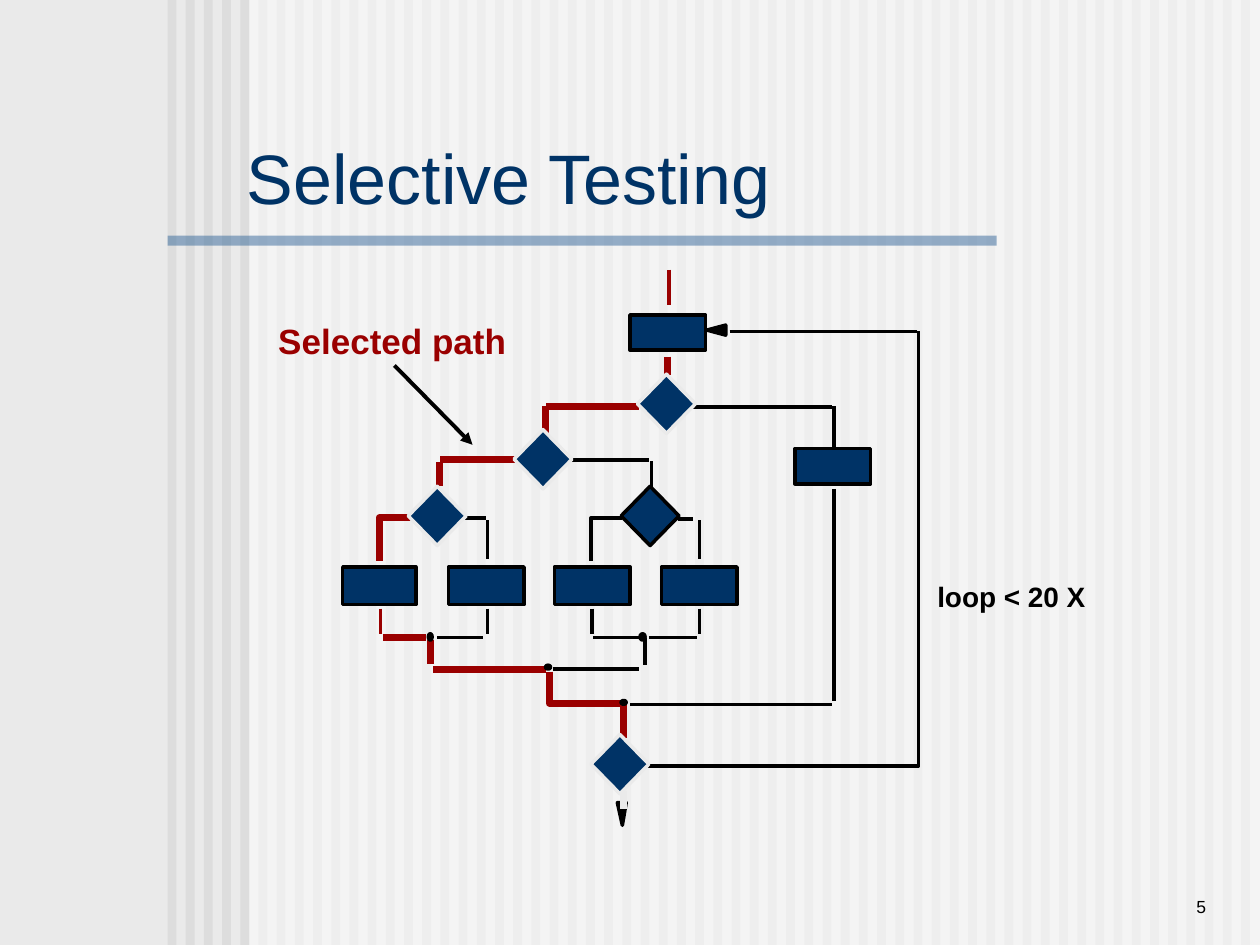
import pptx
import pptx.util
import pptx.dml.color
import pptx.enum.shapes
import pptx.enum.text
import pptx.oxml
import pptx.oxml.ns

KIND = pptx.enum.shapes.MSO_SHAPE
ALIGN = pptx.enum.text.PP_ALIGN
ANCHOR = pptx.enum.text.MSO_ANCHOR
COLS, ROWS = 100, 75
CELL = pptx.util.Inches(0.1)
NAVY, RED, BLACK = "003366", "9A0000", "000000"
PALE, GREY, WHITE, BLUE = "EAEAEA", "DDDDDD", "FFFFFF", "336699"


def cell(n):
    return round(n * CELL)


def paint(target, color):
    target.solid()
    target.fore_color.rgb = pptx.dml.color.RGBColor.from_string(color)


def node(parent, tag, **attrs):
    child = pptx.oxml.parse_xml(f"<{tag} {pptx.oxml.ns.nsdecls('a')}/>")
    for key, value in attrs.items():
        child.set(key, str(value))
    parent.append(child)
    return child


def write(frame, text, size=16, color=BLACK, bold=False, align=ALIGN.LEFT, font="Arial"):
    part = frame.paragraphs[0]
    part.alignment = align
    run = part.add_run()
    run.text = text
    run.font.name, run.font.size, run.font.bold = font, pptx.util.Pt(size), bold
    paint(run.font.fill, color)


class Chart:
    def __init__(self, deck):
        self.slide = deck.slides.add_slide(deck.slide_layouts[6])
        paint(self.slide.background.fill, PALE)
        self.shapes = self.slide.shapes

    def edge(self, shape, color, width):
        paint(shape.line.fill, color)
        shape.line.width = pptx.util.Pt(width)

    def shape(self, kind, x, y, w, h, fill=NAVY, line=BLACK, alpha=None):
        item = self.shapes.add_shape(kind, cell(x), cell(y), cell(w), cell(h))
        item.shadow.inherit = False
        paint(item.fill, fill)
        if alpha:
            tone = item.fill._xPr.find(".//" + pptx.oxml.ns.qn("a:srgbClr"))
            node(tone, "a:alpha", val=alpha * 1000)
        if line:
            self.edge(item, line, 2)
        else:
            item.line.fill.background()

    def line(self, x1, y1, x2, y2, color=BLACK, width=2, arrow=False):
        item = self.shapes.add_connector(
            pptx.enum.shapes.MSO_CONNECTOR.STRAIGHT, cell(x1), cell(y1), cell(x2), cell(y2))
        self.edge(item, color, width)
        if arrow:
            node(item.line._get_or_add_ln(), "a:tailEnd", type="triangle")
        node(item._element.spPr, "a:effectLst")

    def trace(self, *points, color=BLACK, width=2, fill=None):
        spots = [(cell(x), cell(y)) for x, y in points]
        pen = self.shapes.build_freeform(*spots[0])
        pen.add_line_segments(spots[1:], close=bool(fill))
        item = pen.convert_to_shape()
        item.shadow.inherit = False
        if fill:
            paint(item.fill, fill)
        else:
            item.fill.background()
        self.edge(item, color, width)

    def choice(self, x, y, line=PALE):
        left, right = (x + 0.6, y + 2.4), (x + 4.4, y + 2.4)
        for rise in (0.4, 4.5):
            self.trace(left, (x + 2.4, y + rise), right)
        self.shape(KIND.DIAMOND, x, y, 4.6, 4.7, line=line)

    def text(self, x, y, w, h, text, anchor=ANCHOR.TOP, wrap=False, **form):
        frame = self.shapes.add_textbox(cell(x), cell(y), cell(w), cell(h)).text_frame
        frame.word_wrap, frame.vertical_anchor = wrap, anchor
        write(frame, text, **form)


def main():
    deck = pptx.Presentation()
    deck.slide_width, deck.slide_height = COLS * CELL, ROWS * CELL
    art = Chart(deck)

    for i in range(60):
        art.shape(KIND.RECTANGLE, 13.3 + i * 1.444, 0, 0.7, ROWS, GREY, None)
    art.shape(KIND.RECTANGLE, 19.8, 0, 80.2, ROWS, WHITE, None, 50)
    art.shape(KIND.RECTANGLE, 13.3, 18.7, 65.8, 0.8, BLUE, None, 50)
    art.text(82.5, 68.3, 14.2, 5, "5", ANCHOR.BOTTOM, True, size=10, align=ALIGN.RIGHT)
    art.text(18.6, 13.1, 63.4, 1.8, "Selective Testing", ANCHOR.MIDDLE, True,
             size=40, color=NAVY)

    for x, y, w, h in [(50, 25, 6, 2.8), (63.1, 35.6, 6, 2.8), (27.2, 45, 5.8, 3),
                       (35.6, 45, 6, 3), (44, 45, 6, 3), (52.5, 45, 6, 3)]:
        art.shape(KIND.RECTANGLE, x, y, w, h)

    for ends in [(53.1, 21.4, 53.1, 24.2), (30.2, 48.3, 30.2, 50.3)]:
        art.line(*ends, color=RED)
    for ends in [(34.2, 50.8, 34.2, 52.7), (53, 28.3, 53, 29.8), (50.7, 32.3, 43.3, 32.3),
                 (43.3, 34.4, 43.3, 32.2), (41.4, 36.5, 34.9, 36.5),
                 (34.9, 36.7, 34.9, 38.6), (34.4, 53.1, 43.3, 53.1),
                 (49.5, 58.6, 49.5, 55.8), (30.4, 50.6, 33.8, 50.6)]:
        art.line(*ends, color=RED, width=4)
    art.trace((32.6, 41.1), (30.1, 41.1), (30.1, 44.5), color=RED, width=4)
    art.trace((43.6, 53.3), (43.6, 55.8), (49.4, 55.8), color=RED, width=4)

    for x in (38.7, 47, 55.5):
        art.line(x, 48.3, x, 50.3)
    for ends in [(57.9, 26.3, 72.8, 26.3), (55, 32.3, 66, 32.3), (66.2, 35.5, 66.2, 32.2),
                 (36.7, 41.1, 38.6, 41.1), (38.7, 41.3, 38.7, 44.4), (45.3, 36.5, 51.5, 36.5),
                 (51.7, 36.6, 51.7, 38.8), (53.8, 41.2, 55, 41.2), (55.5, 41.3, 55.5, 44.4),
                 (51.5, 50.6, 55.3, 50.6), (47.1, 50.6, 51.3, 50.6), (34.7, 50.6, 38.3, 50.6),
                 (51.2, 50.6, 51.2, 52.8), (50.7, 53.1, 43.9, 53.1),
                 (66.2, 38.8, 66.2, 55.6), (50, 55.9, 66, 55.9), (49.5, 63, 49.5, 63.6)]:
        art.line(*ends)
    art.trace((49.4, 41.1), (46.9, 41.1), (46.9, 44.5))
    art.trace((51.4, 60.8), (72.9, 60.8), (72.9, 26.3))
    art.trace((56.1, 26.2), (57.6, 25.8), (57.6, 26.6), fill=BLACK)
    art.trace((49.4, 65.5), (49, 63.7), (49.7, 63.7), fill=BLACK)
    art.line(49.5, 64.2, 49.5, 62.8, color=PALE, width=4)

    for x, y, w, h in [(50.8, 50.3, 0.4, 0.5), (34, 50.3, 0.3, 0.5),
                       (43.3, 52.8, 0.4, 0.3), (49.3, 55.6, 0.4, 0.3)]:
        art.shape(KIND.OVAL, x, y, w, h, BLACK)
    for x, y in [(50.6, 29.7), (40.8, 34.1), (32.4, 38.6), (46.9, 58.3)]:
        art.choice(x, y)
    art.choice(49.3, 38.6, BLACK)

    art.text(73.4, 45.5, 13.8, 3.6, "loop < 20 X", bold=True)
    art.text(21.1, 24.9, 20.1, 4.3, "Selected path", size=20, color=RED, bold=True)
    art.line(31.3, 29, 37.5, 35.3, width=2.25, arrow=True)
    deck.save("out.pptx")


if __name__ == "__main__":
    main()
